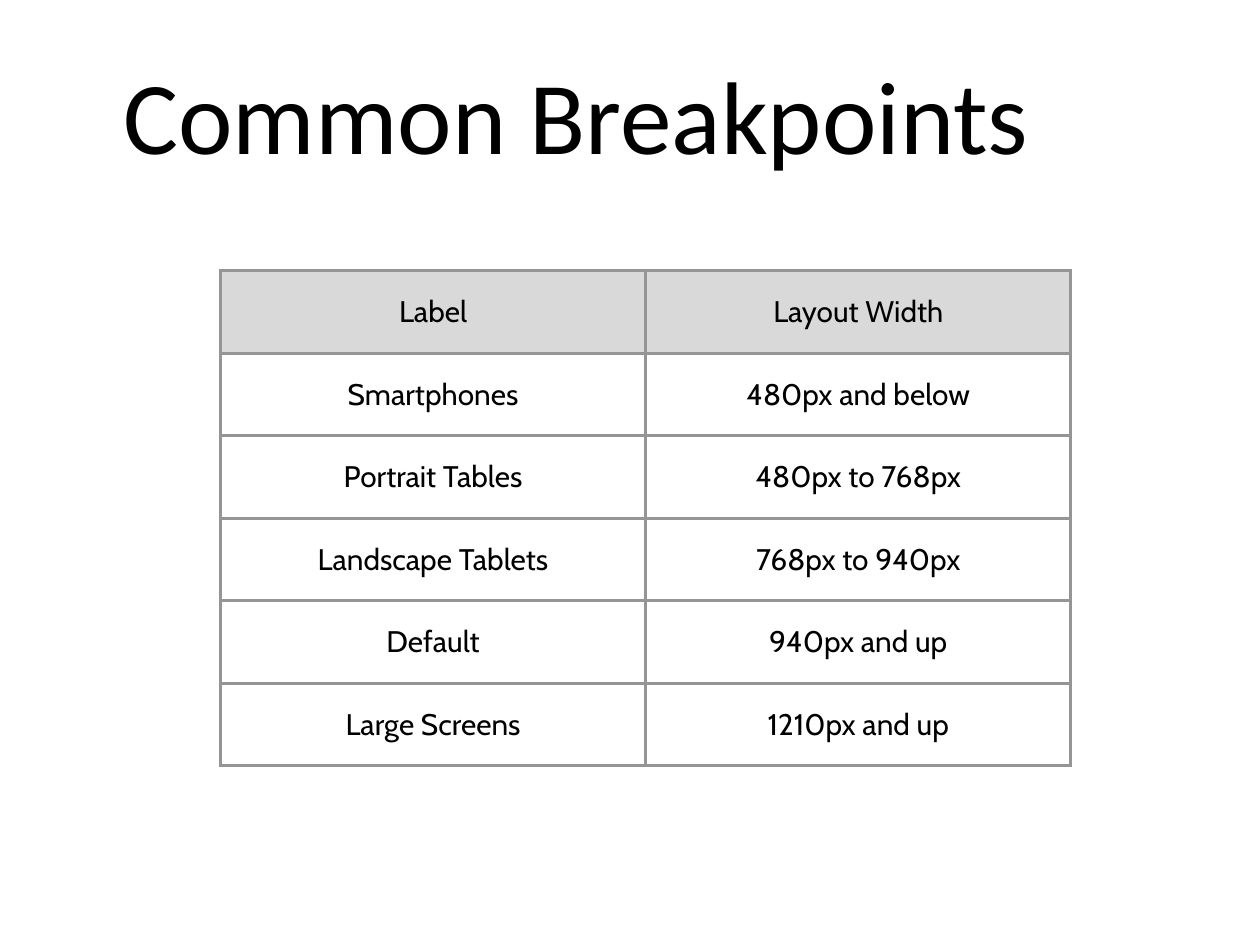
import dataclasses

import lxml.etree
import pptx
import pptx.dml.color
import pptx.enum.text
import pptx.oxml.ns
import pptx.util


@dataclasses.dataclass(frozen=True)
class Theme:
    text: str = "000000"
    border: str = "959595"
    header_fill: str = "D9D9D9"
    body_fill: str = "FFFFFF"
    title_font: str = "Calibri"
    table_font: str = "Cabin"
    title_size: int = 59
    table_size: int = 17
    border_width: int = 2
    cell_margin: float = 0.04


THEME = Theme()
SLIDE_WIDTH = pptx.util.Inches(10)
SLIDE_HEIGHT = pptx.util.Inches(7.5)
TITLE = "Common Breakpoints"
BREAKPOINTS = [
    ("Label", "Layout Width"),
    ("Smartphones", "480px and below"),
    ("Portrait Tables", "480px to 768px"),
    ("Landscape Tablets", "768px to 940px"),
    ("Default", "940px and up"),
    ("Large Screens", "1210px and up"),
]


def box(left, top, width, height):
    """Turn inches into a left, top, width, height tuple of lengths."""
    return tuple(pptx.util.Inches(value) for value in (left, top, width, height))


def format_paragraph(paragraph, alignment, font_name, size):
    paragraph.alignment = alignment
    for run in paragraph.runs:
        run.font.name = font_name
        run.font.size = pptx.util.Pt(size)
        run.font.color.rgb = pptx.dml.color.RGBColor.from_string(THEME.text)


def set_margins(target, margin):
    target.margin_left = target.margin_right = margin
    target.margin_top = target.margin_bottom = margin


def add_borders(cell):
    """Draw the same line on all four sides; borders come before the fill."""
    properties = cell._tc.get_or_add_tcPr()
    qn = pptx.oxml.ns.qn
    for position, side in enumerate(("lnL", "lnR", "lnT", "lnB")):
        line = lxml.etree.Element(
            qn(f"a:{side}"), w=str(pptx.util.Pt(THEME.border_width)))
        fill = lxml.etree.SubElement(line, qn("a:solidFill"))
        lxml.etree.SubElement(fill, qn("a:srgbClr"), val=THEME.border)
        properties.insert(position, line)


def place_title(slide, area):
    title = slide.shapes.title
    title.left, title.top, title.width, title.height = area
    text_frame = title.text_frame
    text_frame.text = TITLE
    text_frame.word_wrap = True
    text_frame.auto_size = pptx.enum.text.MSO_AUTO_SIZE.NONE
    text_frame.vertical_anchor = pptx.enum.text.MSO_ANCHOR.MIDDLE
    set_margins(text_frame, 0)
    format_paragraph(text_frame.paragraphs[0], pptx.enum.text.PP_ALIGN.LEFT,
                     THEME.title_font, THEME.title_size)


def format_cell(cell, text, fill):
    cell.text_frame.text = text
    cell.vertical_anchor = pptx.enum.text.MSO_ANCHOR.MIDDLE
    set_margins(cell, pptx.util.Inches(THEME.cell_margin))
    cell.fill.solid()
    cell.fill.fore_color.rgb = pptx.dml.color.RGBColor.from_string(fill)
    add_borders(cell)
    format_paragraph(cell.text_frame.paragraphs[0],
                     pptx.enum.text.PP_ALIGN.CENTER,
                     THEME.table_font, THEME.table_size)


def place_breakpoint_table(slide, area):
    table = slide.shapes.add_table(
        len(BREAKPOINTS), len(BREAKPOINTS[0]), *area).table
    table.horz_banding = False
    for row_index, row in enumerate(BREAKPOINTS):
        fill = THEME.body_fill if row_index else THEME.header_fill
        for column_index, text in enumerate(row):
            format_cell(table.cell(row_index, column_index), text, fill)


def main():
    presentation = pptx.Presentation()
    presentation.slide_width = SLIDE_WIDTH
    presentation.slide_height = SLIDE_HEIGHT
    title_only = presentation.slide_layouts[5]
    slide = presentation.slides.add_slide(title_only)
    place_title(slide, box(0.98, 0.2, 8.05, 1.39))
    place_breakpoint_table(slide, box(1.75, 2.15, 6.75, 3.93))
    presentation.save("out.pptx")


if __name__ == "__main__":
    main()
